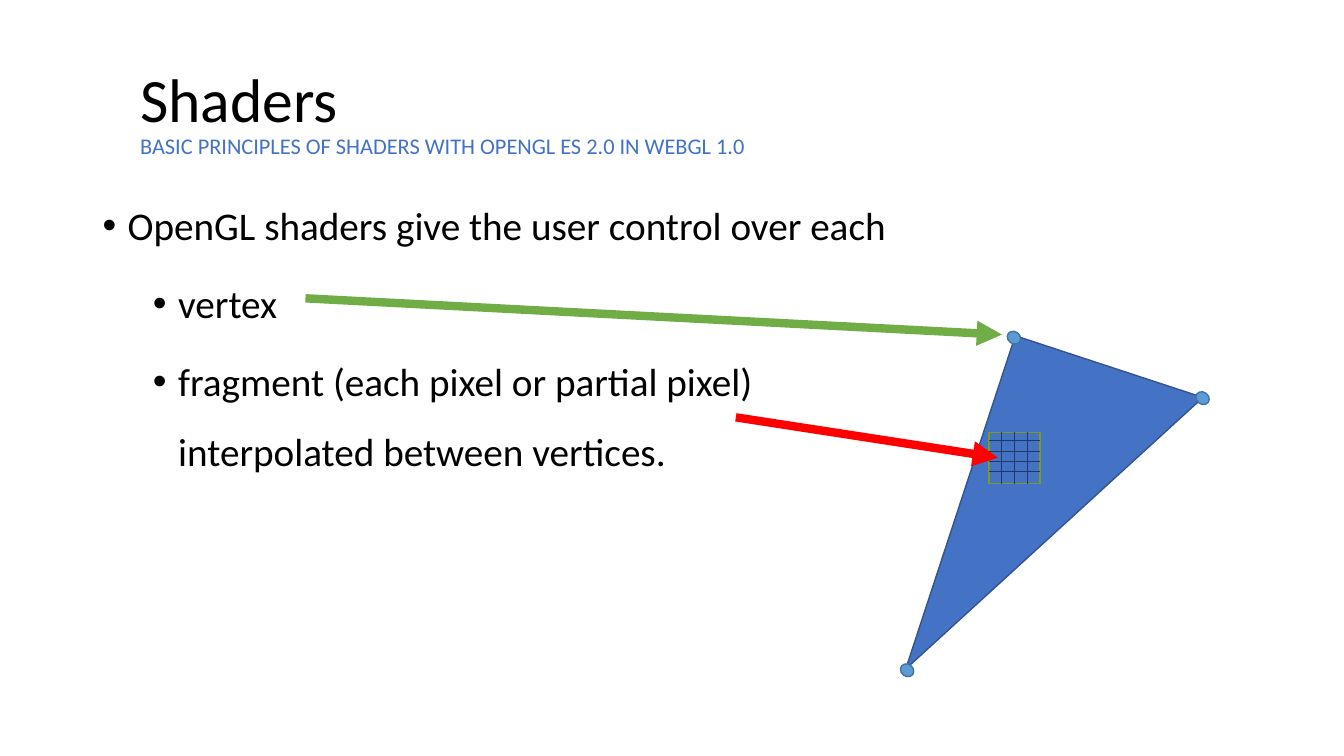
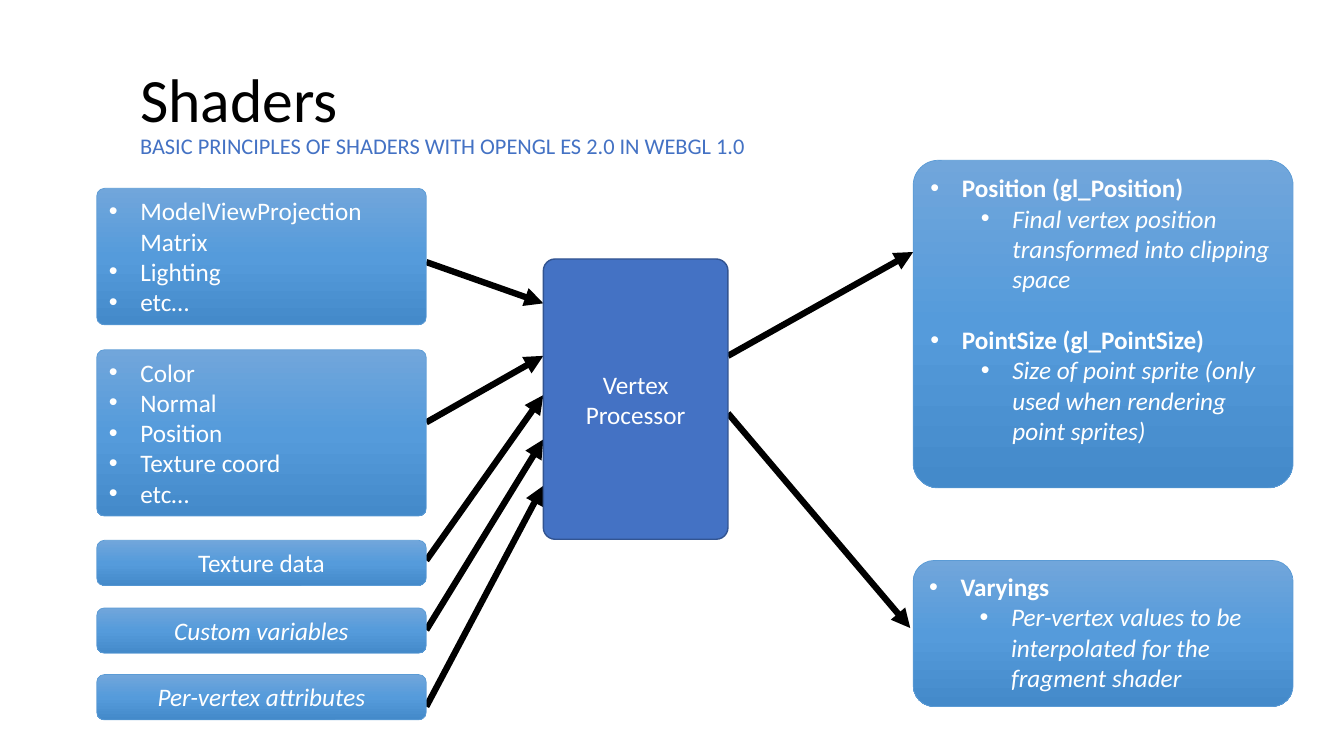
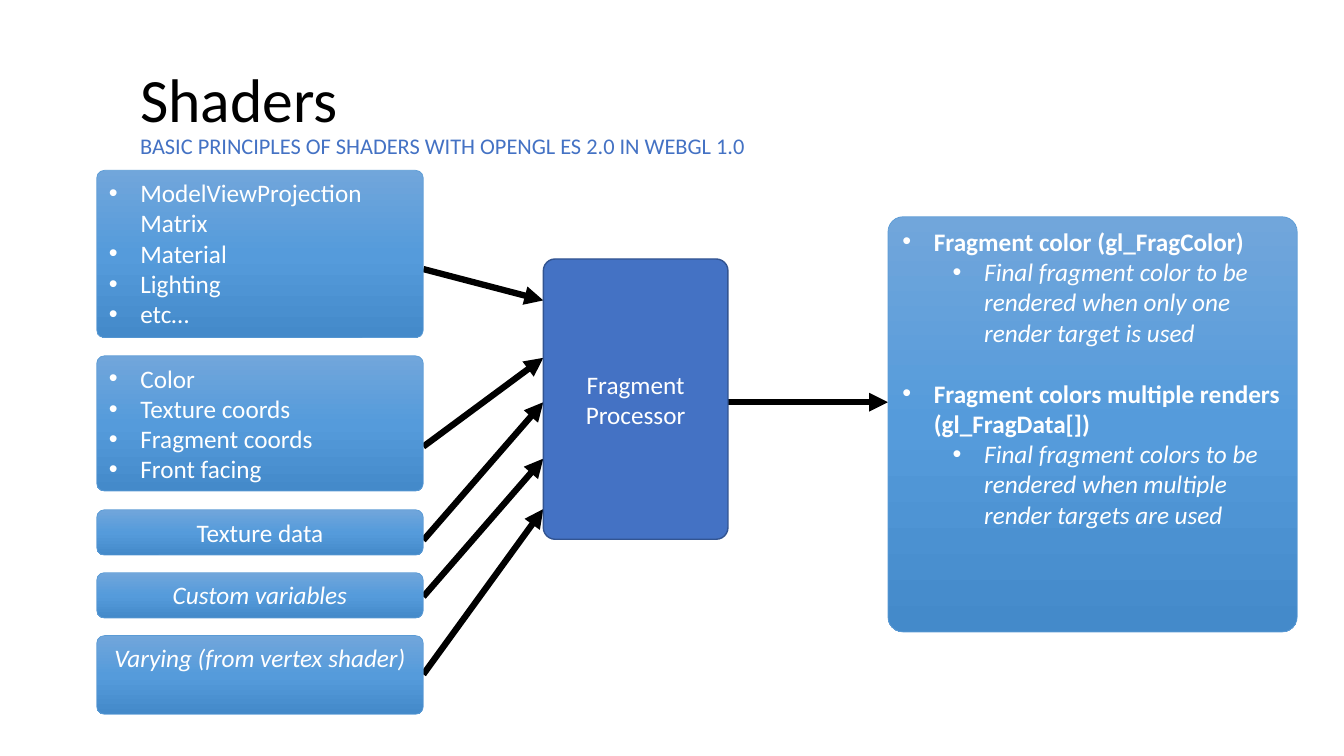
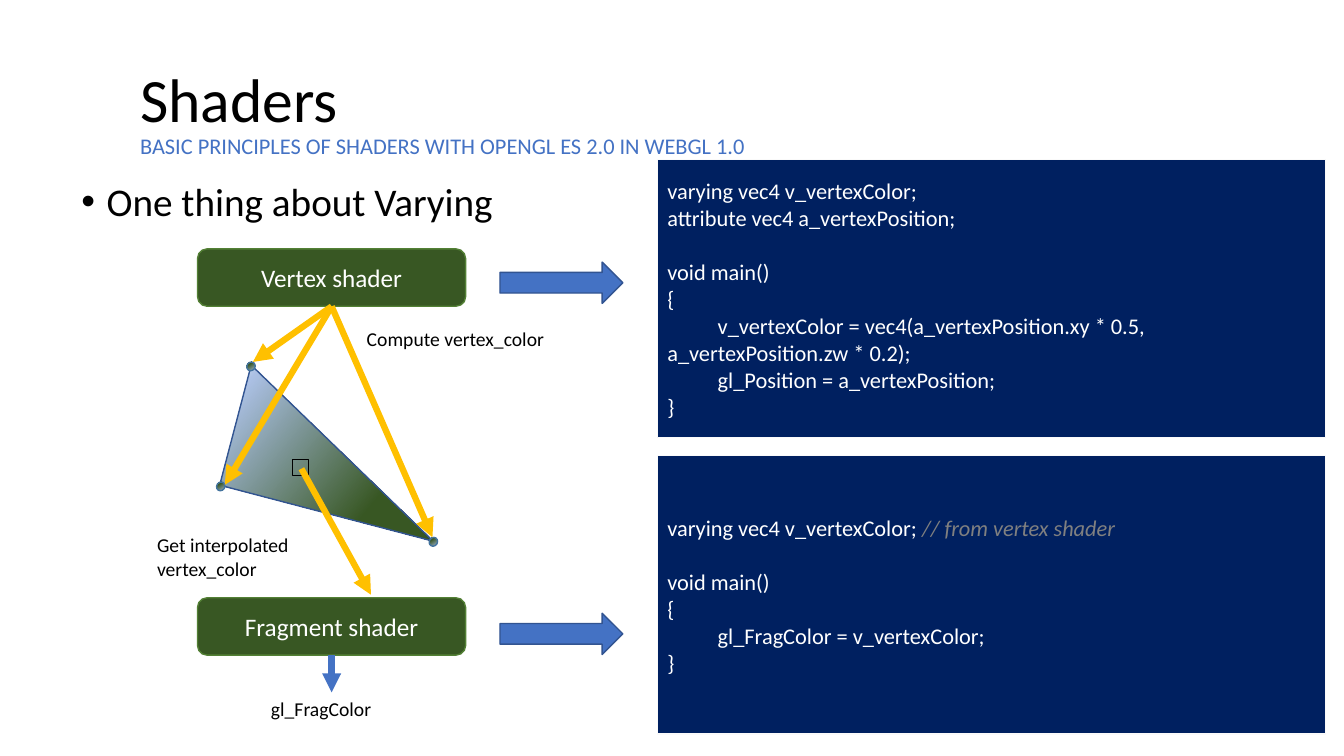
from lxml import etree
from pptx import Presentation
from pptx.dml.color import RGBColor
from pptx.enum import shapes, text
from pptx.oxml.ns import qn
from pptx.util import Pt

FONT = "Calibri"
BLACK, WHITE, GREY = "000000", "FFFFFF", "808080"
BLUE, BLUE_EDGE, SKY, SKY_EDGE = "4472C4", "325491", "5B9BD5", "43739E"
GREEN, DARK_GREEN, GREEN_EDGE = "70AD47", "385723", "538035"
RED, AMBER, NAVY, CODE_EDGE = "FF0000", "FFC000", "002060", "FAFAFA"
GRID, PATCH_EDGE = "203864", "7D9B23"
# Gradients: clockwise angle, then (position, colour) stops
GLOSS = (90, [(0, "71A6DB"), (50, "559BDB"), (100, "448ACA")])
BLEND = (25, [(0, "F6F8FC"), (11, "ABC0E4"), (69, DARK_GREEN), (96, DARK_GREEN)])

SHAPE = shapes.MSO_SHAPE
MIDDLE, TOP = text.MSO_ANCHOR.MIDDLE, text.MSO_ANCHOR.TOP
CENTER, LEFT = text.PP_ALIGN.CENTER, text.PP_ALIGN.LEFT
TITLE_BOX = (92.9, 29.5, 564.5, 104.4)
PROCESSOR_BOX = (388.1, 185, 131.9, 200.2)
COLUMN_LEFT = 69.1
CODE_GAP, ITEM_GAP = 19.5, 22


def rgb(value):
    return RGBColor.from_string(value)


def pts(*values):
    return [Pt(v) for v in values]


# ---- Text ----
def style(font, color=BLACK, **values):
    font.name = FONT
    font.color.rgb = rgb(color)
    for key, value in values.items():
        setattr(font, key, value)


def set_bullet(p, left, hang):
    pPr = p._p.get_or_add_pPr()
    pPr.set("marL", str(Pt(left)))
    pPr.set("indent", str(-Pt(hang)))
    etree.SubElement(pPr, qn("a:buFont")).set("typeface", "Arial")
    etree.SubElement(pPr, qn("a:buChar")).set("char", "•")


def add_para(tf, content, bullet=None, fmt=None, **layout):
    """Add a paragraph of text, or of (text, format) runs; \\v breaks a line."""
    p = tf.paragraphs[0]
    if p.runs:
        p = tf.add_paragraph()
    if bullet:
        set_bullet(p, *bullet)
    for key, value in {"alignment": LEFT, **layout}.items():
        setattr(p, key, value)
    runs = [(content, {})] if isinstance(content, str) else content
    for words, extra in runs:
        for i, part in enumerate(words.split("\v")):
            if i:
                p.add_line_break()
            if part:
                r = p.add_run()
                r.text = part
                style(r.font, **{**(fmt or {}), **extra})
    return p


def add_text(s, x, y, w, h):
    tf = s.shapes.add_textbox(*pts(x, y, w, h)).text_frame
    tf.word_wrap = True
    return tf


# ---- Shapes ----
def set_gradient(sp, angle, stops):
    sp.fill.background()
    old = sp._element.spPr.find(qn("a:noFill"))
    grad = etree.Element(qn("a:gradFill"), rotWithShape="1")
    gs_list = etree.SubElement(grad, qn("a:gsLst"))
    for pos, color in stops:
        gs = etree.SubElement(gs_list, qn("a:gs"), pos=str(pos * 1000))
        etree.SubElement(gs, qn("a:srgbClr"), val=color)
    etree.SubElement(grad, qn("a:lin"), ang=str(angle * 60000), scaled="0")
    old.getparent().replace(old, grad)


def add_shape(s, kind, box, fill, edge, weight=1, radius=None, rotation=0, anchor=MIDDLE):
    sp = s.shapes.add_shape(kind, *pts(*box))
    sp.shadow.inherit = False
    sp.rotation = rotation
    if radius:
        sp.adjustments[0] = radius / min(box[2:])
    if fill is None:
        sp.fill.background()
    elif isinstance(fill, str):
        sp.fill.solid()
        sp.fill.fore_color.rgb = rgb(fill)
    else:
        set_gradient(sp, *fill)
    sp.line.color.rgb = rgb(edge)
    sp.line.width = Pt(weight)
    sp.text_frame.word_wrap = True
    sp.text_frame.vertical_anchor = anchor
    return sp


def add_line(s, start, end, color, weight, arrow=True):
    c = s.shapes.add_connector(shapes.MSO_CONNECTOR.STRAIGHT, *pts(*start, *end))
    c.line.color.rgb = rgb(color)
    c.line.width = Pt(weight)
    if arrow:
        etree.SubElement(c.line._get_or_add_ln(), qn("a:tailEnd"), type="triangle")
    etree.SubElement(c._element.spPr, qn("a:effectLst"))


def add_triangle(s, box, rotation, fill, corners, dot, dot_rotation, dot_fill):
    """Triangle with an oval dot centred on each corner."""
    add_shape(s, SHAPE.RIGHT_TRIANGLE, box, fill, BLUE_EDGE, rotation=rotation)
    w, h = dot
    for x, y in corners:
        add_shape(s, SHAPE.OVAL, (x - w / 2, y - h / 2, w, h), dot_fill, SKY_EDGE,
                  rotation=dot_rotation)


# ---- Shared slide frame ----
def new_slide(prs):
    s = prs.slides.add_slide(prs.slide_layouts[5])
    title = s.shapes.title
    title.left, title.top, title.width, title.height = pts(*TITLE_BOX)
    tf = title.text_frame
    tf.auto_size = text.MSO_AUTO_SIZE.NONE
    tf.vertical_anchor = MIDDLE
    add_para(tf, [("Shaders\v", {"size": Pt(44)}),
                  ("BASIC PRINCIPLES OF SHADERS WITH OPENGL ES 2.0 IN WEBGL 1.0",
                   {"size": Pt(16), "color": BLUE})], line_spacing=0.9)
    return s


# ---- Slide 1: what shaders control ----
def add_pixel_patch(s, x, y, side):
    add_shape(s, SHAPE.RECTANGLE, (x, y, side, side), BLUE, PATCH_EDGE)
    for i in range(1, 4):
        gx = x + side * i / 4
        add_line(s, (gx, y), (gx, y + side), GRID, 0.5, arrow=False)
    for i in range(4):
        gy = y + 6 + 7.2 * i
        add_line(s, (x, gy), (x + side, gy), GRID, 0.5, arrow=False)


def control_slide(prs):
    s = new_slide(prs)
    tf = add_text(s, 66.2, 144, 828, 342.7)
    fmt = {"size": Pt(28)}
    add_para(tf, "OpenGL shaders give the user control over each", (18, 18), fmt,
             line_spacing=0.9)
    for item in ("vertex",
                 "fragment (each pixel or partial pixel)\vinterpolated between vertices."):
        add_para(tf, item, (54, 18), fmt, line_spacing=1.5, space_before=Pt(5))
    add_triangle(s, (627.8, 310.3, 250.6, 141.1), 108.2, BLUE,
                 [(648, 478.8), (724.3, 241.2), (859, 284.4)], (8.6, 10.1), 307.1, SKY)
    add_line(s, (218.2, 213.1), (715.7, 239), GREEN, 6)
    add_pixel_patch(s, 706.3, 308.9, 36.7)
    add_line(s, (525.6, 298.1), (712.8, 326.9), RED, 6)


# ---- Slides 2 and 3: inputs, processor, outputs ----
def add_input(s, box, items, centered, italic):
    sp = add_shape(s, SHAPE.ROUNDED_RECTANGLE, box, GLOSS, SKY, 0.5, 5.5, anchor=TOP)
    fmt = {"size": Pt(18), "color": WHITE, "italic": italic}
    for item in items:
        if centered:
            add_para(sp.text_frame, item, fmt=fmt, alignment=CENTER)
        else:
            add_para(sp.text_frame, item, (22.5, 22.5), fmt)


def add_output(s, box, radius, entries):
    sp = add_shape(s, SHAPE.ROUNDED_RECTANGLE, box, GLOSS, SKY, 0.5, radius, anchor=TOP)
    fmt = {"size": Pt(18), "color": WHITE}
    for i, (name, detail) in enumerate(entries):
        gap = {"space_before": Pt(ITEM_GAP)} if i else {}
        add_para(sp.text_frame, name, (22.5, 22.5), {**fmt, "bold": True}, **gap)
        add_para(sp.text_frame, detail, (58.5, 22.5), {**fmt, "italic": True})


def processor_slide(prs, name, column_width, inputs, outputs):
    s = new_slide(prs)
    left, _, width, _ = PROCESSOR_BOX
    # Arrows lie behind the boxes
    for *_, start_y, end_y in inputs:
        add_line(s, (COLUMN_LEFT + column_width, start_y), (left, end_y), BLACK, 4.5)
    for _, _, _, start_y, end in outputs:
        add_line(s, (left + width, start_y), end, BLACK, 4.5)
    for top, height, items, centered, italic, _, _ in inputs:
        add_input(s, (COLUMN_LEFT, top, column_width, height), items, centered, italic)
    for box, radius, entries, _, _ in outputs:
        add_output(s, box, radius, entries)
    sp = add_shape(s, SHAPE.ROUNDED_RECTANGLE, PROCESSOR_BOX, BLUE, BLUE_EDGE, radius=8.4)
    for word in (name, "Processor"):
        add_para(sp.text_frame, word, fmt={"size": Pt(18), "color": WHITE},
                 alignment=CENTER)


# top, height, items, centered, italic, arrow start y, arrow end y
VERTEX_INPUTS = [
    (134.6, 97.4, ["ModelViewProjection Matrix", "Lighting", "etc…"],
     False, False, 187.2, 216.7),
    (249.8, 118.8, ["Color", "Normal", "Position", "Texture coord", "etc…"],
     False, False, 301.7, 254.2),
    (385.9, 32.4, ["Texture data"], True, False, 400.3, 282.2),
    (434.2, 32.4, ["Custom variables"], True, True, 450, 313.9),
    (481.8, 32.4, ["Per-vertex attributes"], True, True, 504.7, 347),
]
FRAGMENT_INPUTS = [
    (121.7, 119.5, ["ModelViewProjection Matrix", "Material", "Lighting", "etc…"],
     False, False, 192.2, 214.6),
    (254.2, 96.5, ["Color", "Texture coords", "Fragment coords", "Front facing"],
     False, False, 319, 255.6),
    (364.1, 32.4, ["Texture data"], True, False, 385.9, 287.3),
    (409, 32.4, ["Custom variables"], True, True, 426.2, 327.6),
    (454, 56.2, ["Varying (from vertex shader)"], True, True, 481.7, 363.6),
]
# box, corner radius, entries, arrow start y, arrow end
VERTEX_OUTPUTS = [
    ((652.3, 114.5, 271.4, 234), 18,
     [("Position (gl_Position)", "Final vertex position transformed into clipping space"),
      ("PointSize (gl_PointSize)",
       "Size of point sprite (only used when rendering point sprites)")],
     254.2, (652.3, 180)),
    ((652.3, 400.3, 271.4, 104.4), 15,
     [("Varyings", "Per-vertex values to be interpolated for the fragment shader")],
     295.2, (650.2, 448.6)),
]
FRAGMENT_OUTPUTS = [
    ((634.3, 154.8, 292.3, 296.6), 10.8,
     [("Fragment color (gl_FragColor)",
       "Final fragment color to be rendered when only one render target is used"),
      ("Fragment colors multiple renders (gl_FragData[])",
       "Final fragment colors to be rendered when multiple render targets are used")],
     287.3, (634.3, 287.3)),
]


# ---- Slide 4: varying ----
VERTEX_CODE = [
    ["varying vec4 v_vertexColor;", "attribute vec4 a_vertexPosition;"],
    ["void main()", "{",
     "\tv_vertexColor = vec4(a_vertexPosition.xy * 0.5, a_vertexPosition.zw * 0.2);",
     "\tgl_Position = a_vertexPosition;", "}"],
]
FRAGMENT_CODE = [
    [[("varying vec4 v_vertexColor; ", {}),
      ("// from vertex shader", {"color": GREY, "italic": True})]],
    ["void main()", "{", "\tgl_FragColor = v_vertexColor;", "}"],
]


def add_code(s, box, blocks):
    tf = add_shape(s, SHAPE.RECTANGLE, box, NAVY, CODE_EDGE).text_frame
    for b, block in enumerate(blocks):
        for i, line in enumerate(block):
            gap = {"space_before": Pt(CODE_GAP)} if b and not i else {}
            add_para(tf, line, fmt={"size": Pt(16), "color": WHITE}, **gap)


def add_stage(s, name, top, code_top, code, arrow_top):
    """Shader name, block arrow and its code panel."""
    sp = add_shape(s, SHAPE.ROUNDED_RECTANGLE, (141.1, top, 191.5, 41), DARK_GREEN,
                   GREEN_EDGE)
    add_para(sp.text_frame, name, fmt={"size": Pt(18), "color": WHITE}, alignment=CENTER)
    add_shape(s, SHAPE.RIGHT_ARROW, (357.1, arrow_top, 87.8, 29.5), BLUE, BLUE_EDGE)
    add_code(s, (469.6, code_top, 477.2, 198.7), code)


def varying_slide(prs):
    s = new_slide(prs)
    add_para(add_text(s, 51.1, 129.6, 704.2, 36), "One thing about Varying", (18, 18),
             {"size": Pt(28)}, line_spacing=0.8)
    add_stage(s, "Vertex shader", 177.8, 114, VERTEX_CODE, 187.2)
    add_stage(s, "Fragment shader", 427, 325.6, FRAGMENT_CODE, 438)
    # Interpolated triangle and the arrows to its corners
    add_triangle(s, (165.6, 279.4, 157.7, 88.6), 14.7, BLEND,
                 [(309.6, 387), (157.7, 347.4), (179.3, 261.7)], (5.8, 6.5), 213.7, BLEND)
    for corner in ((180.7, 258.5), (160.6, 346.3), (308.9, 383.8)):
        add_line(s, (236.9, 218.9), corner, AMBER, 4.5)
    add_shape(s, SHAPE.RECTANGLE, (208.8, 328.3, 11.5, 11.5), None, BLACK)
    add_line(s, (215.3, 334.8), (265, 424.8), AMBER, 4.5)
    add_line(s, (236.9, 468), (236.9, 494.6), BLUE, 4.5)
    # Labels
    for box, lines in (((254.9, 229.7, 168.5, 24.5), ["Compute vertex_color"]),
                       ((105.1, 377.3, 133.2, 41), ["Get interpolated", "vertex_color"]),
                       ((186.5, 494.6, 100.8, 24.5), ["gl_FragColor"])):
        tf = add_text(s, *box)
        for line in lines:
            add_para(tf, line, fmt={"size": Pt(14)})


def main():
    prs = Presentation()
    prs.slide_width, prs.slide_height = pts(960, 540)
    control_slide(prs)
    processor_slide(prs, "Vertex", 235.4, VERTEX_INPUTS, VERTEX_OUTPUTS)
    processor_slide(prs, "Fragment", 233.3, FRAGMENT_INPUTS, FRAGMENT_OUTPUTS)
    varying_slide(prs)
    prs.save("out.pptx")


if __name__ == "__main__":
    main()
